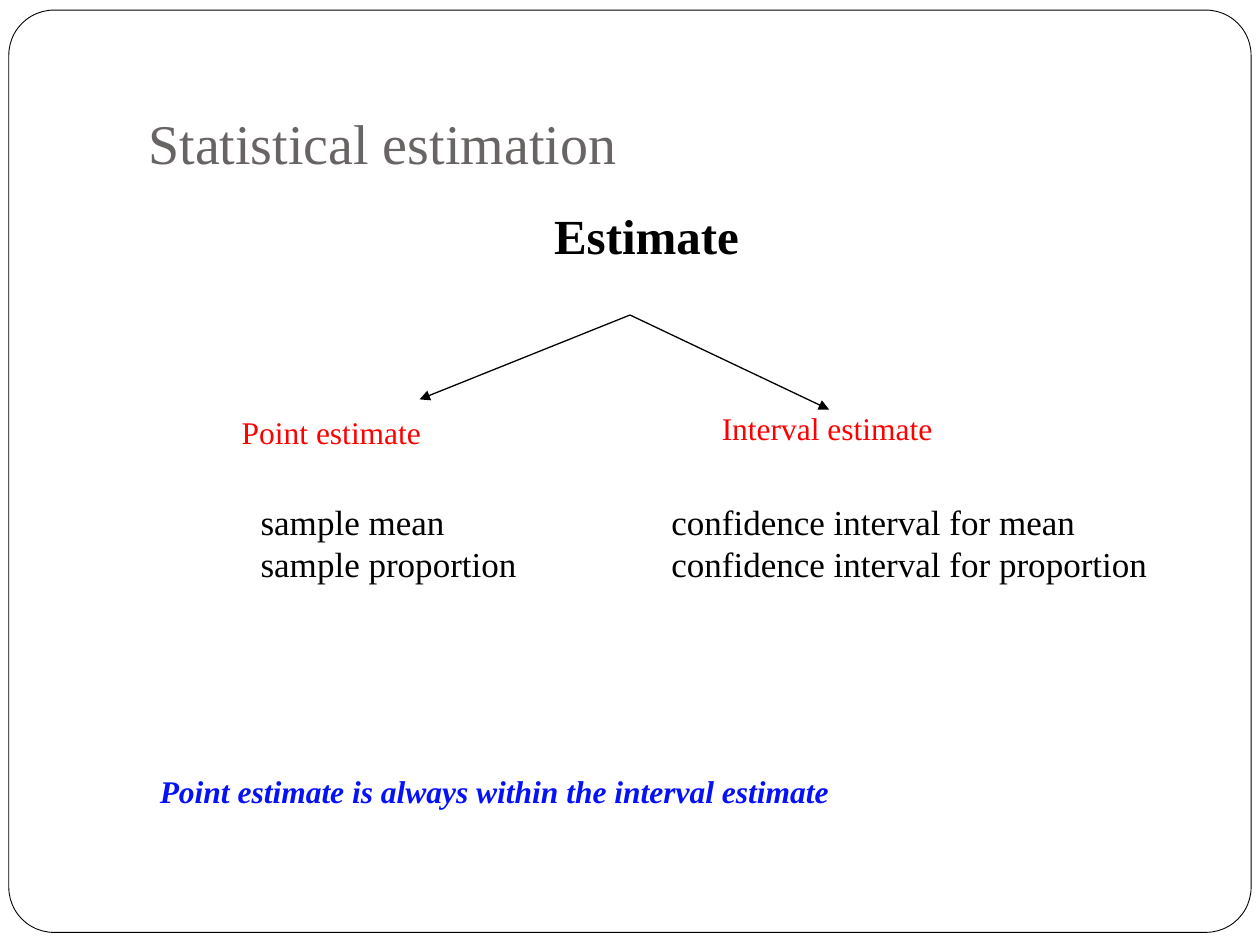
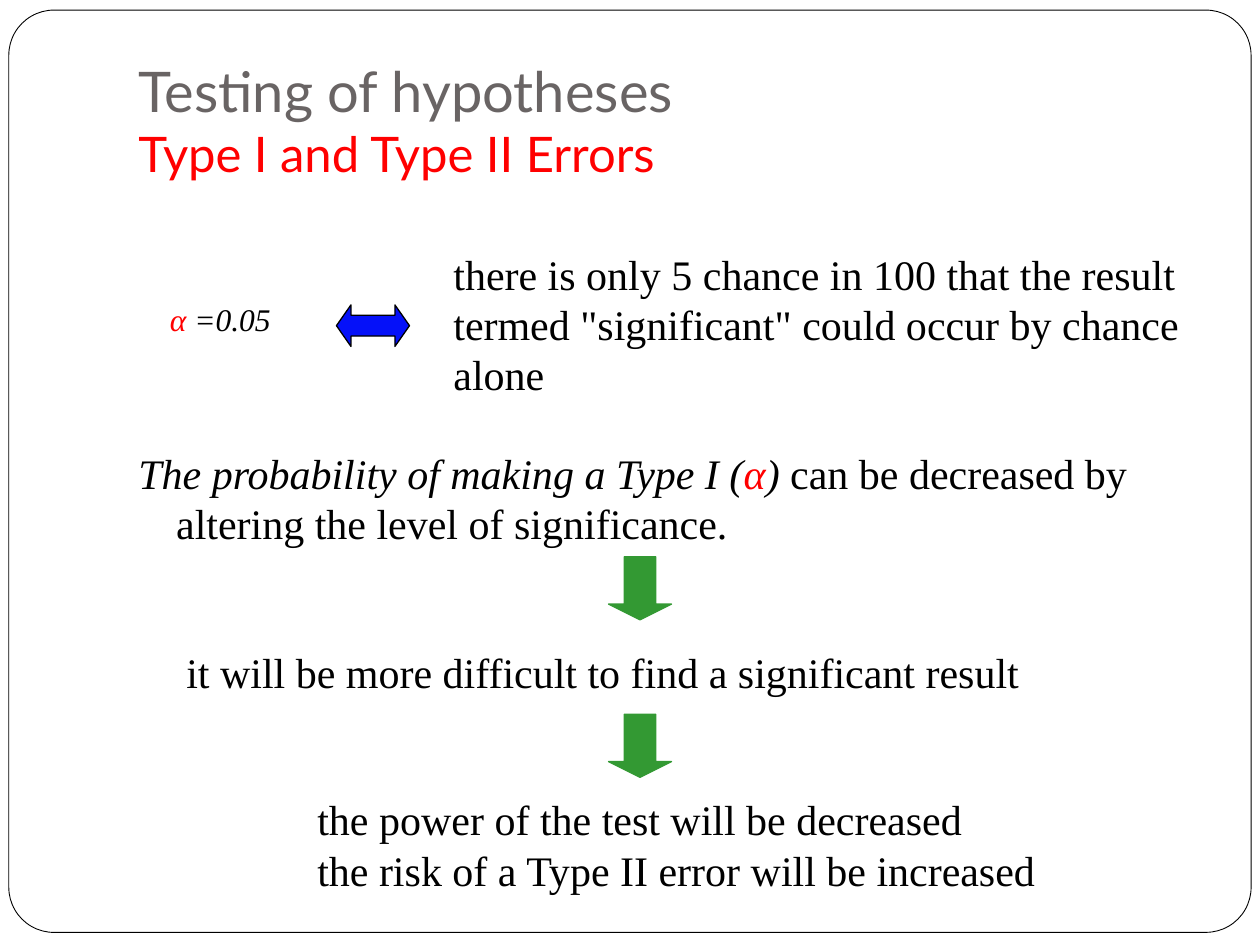
from pptx import Presentation
from pptx.dml.color import RGBColor
from pptx.enum.shapes import MSO_CONNECTOR, MSO_SHAPE
from pptx.enum.text import MSO_ANCHOR
from pptx.oxml.ns import qn
from pptx.util import Inches, Pt
from lxml import etree

STRAIGHT = MSO_CONNECTOR.STRAIGHT
FRAME = MSO_SHAPE.ROUNDED_RECTANGLE
BOTH_WAYS = MSO_SHAPE.LEFT_RIGHT_ARROW
DOWN = MSO_SHAPE.DOWN_ARROW
TOP, MIDDLE, BOTTOM = MSO_ANCHOR.TOP, MSO_ANCHOR.MIDDLE, MSO_ANCHOR.BOTTOM

BLACK, WHITE, GREY = "000000", "FFFFFF", "696464"
RED, BLUE, GREEN = "FF0000", "0511F9", "339933"
SERIF, SANS = "Times New Roman", "Lato"


def color(value):
    return RGBColor.from_string(value)


class Style:
    """Holds the shared look and the slide being filled."""

    def __init__(self, deck):
        self.deck = deck
        self.page = None

    def new_page(self):
        self.page = self.deck.slides.add_slide(self.deck.slide_layouts[6])
        self.shape(FRAME, (0.07, 0.08, 9.86, 7.32), WHITE, BLACK, [0.049], 0.5)

    def shape(self, kind, place, fill, line, adjustments, width=0.75):
        shape = self.page.shapes.add_shape(kind, *map(Inches, place))
        shape.shadow.inherit = False
        shape.fill.solid()
        shape.fill.fore_color.rgb = color(fill)
        shape.line.color.rgb = color(line)
        shape.line.width = Pt(width)
        for index, value in enumerate(adjustments):
            shape.adjustments[index] = value

    def arrow(self, start, end):
        line = self.page.shapes.add_connector(STRAIGHT, *map(Inches, start + end))
        line.line.color.rgb = color(BLACK)
        line.line.width = Pt(0.75)
        etree.SubElement(line.line._get_or_add_ln(), qn("a:tailEnd"), type="triangle")
        etree.SubElement(line._element.spPr, qn("a:effectLst"))

    def text(self, place, paragraphs, size=24, font=SERIF, ink=BLACK,
             anchor=TOP, hanging=0, bottom=0.05):
        """Each paragraph is a list of (words, format values) spans."""
        box = self.page.shapes.add_textbox(*map(Inches, place))
        frame = box.text_frame
        frame.word_wrap = True
        frame.vertical_anchor = anchor
        frame.margin_bottom = Inches(bottom)
        for index, spans in enumerate(paragraphs):
            para = frame.paragraphs[0] if index == 0 else frame.add_paragraph()
            if hanging:
                properties = para._p.get_or_add_pPr()
                properties.set("marL", str(Inches(hanging)))
                properties.set("indent", str(-Inches(hanging)))
            for words, changes in spans:
                span = para.add_run()
                span.text = words
                values = {"name": font, "size": size, "color": ink} | changes
                span.font.color.rgb = color(values.pop("color"))
                values["size"] = Pt(values["size"])
                for name, value in values.items():
                    setattr(span.font, name, value)

    def lines(self, place, *lines, **look):
        """Plain text, one paragraph a line."""
        self.text(place, [[(line, {})] for line in lines], **look)


def estimation_page(style):
    style.new_page()
    style.lines((1.08, 0.5, 8.5, 1.25), "Statistical estimation",
                size=32, ink=GREY, anchor=MIDDLE)
    style.text((4.3, 1.58, 3, 0.6), [[("Estimate", {"bold": True})]], size=28)

    # Two branches from one point
    for tip in ((3.33, 3.17), (6.58, 3.25)):
        style.arrow((5, 2.5), tip)
    style.lines((1.82, 3.23, 2.12, 0.47), "Point estimate", size=18, ink=RED)
    style.lines((5.63, 3.2, 2.49, 0.47), "Interval estimate", size=18, ink=RED)
    style.lines((1.97, 3.92, 2.64, 0.83), "sample mean", "sample proportion", size=20)
    style.lines((5.23, 3.92, 4.51, 0.83), "confidence interval for mean",
                "confidence interval for proportion", size=20)

    # Conclusion
    style.text((1.17, 6.08, 8.33, 0.47),
               [[("Point estimate is always within the interval estimate",
                  {"bold": True, "italic": True})]], size=18, ink=BLUE)


def errors_page(style):
    style.new_page()
    style.text((1, 0.3, 8.5, 1.25),
               [[("Testing of hypotheses", {"size": 32, "color": GREY})],
                [("Type I and Type II Errors", {})]],
               size=28, font=SANS, ink=RED, anchor=BOTTOM, bottom=0.1)
    italic = {"italic": True}
    red_italic = {"italic": True, "color": RED}

    # Meaning of the significance level
    style.text((1.25, 2.33, 1.18, 0.47),
               [[("α ", red_italic), ("=0.05", italic)]], size=18)
    style.shape(BOTH_WAYS, (2.67, 2.42, 0.58, 0.33), BLUE, BLACK, [0.5, 0.35])
    style.lines((3.5, 1.92, 6.08, 1.3),
                'there is only 5 chance in 100 that the result termed '
                '"significant" could occur by chance alone')

    # Chain of consequences
    style.text((1, 3.5, 8.5, 1),
               [[("The probability of making a Type I (", italic),
                 ("α", red_italic), (")", italic),
                 (" can be decreased by altering the level of significance.", {})]],
               hanging=0.3)
    for top in (4.42, 5.67):
        style.shape(DOWN, (4.83, top, 0.5, 0.5), GREEN, GREEN, [0.5, 0.25])
    style.lines((1.38, 5.08, 7.45, 0.58),
                "it will be more difficult to find a significant result")
    style.lines((2.42, 6.25, 6.33, 0.92), "the power of the test will be decreased",
                "the risk of a Type II error will be increased")


def main():
    deck = Presentation()
    deck.slide_width, deck.slide_height = Inches(10), Inches(7.5)
    style = Style(deck)
    estimation_page(style)
    errors_page(style)
    deck.save("out.pptx")


if __name__ == "__main__":
    main()
